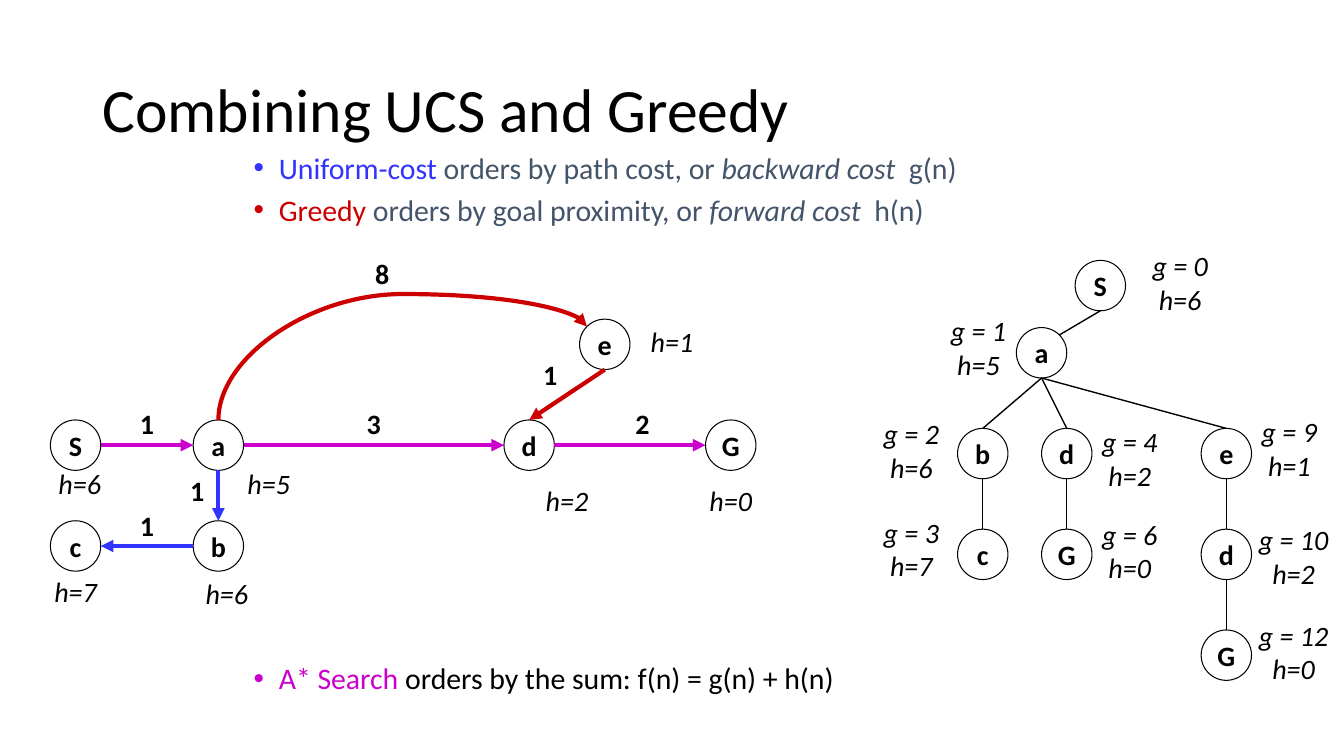
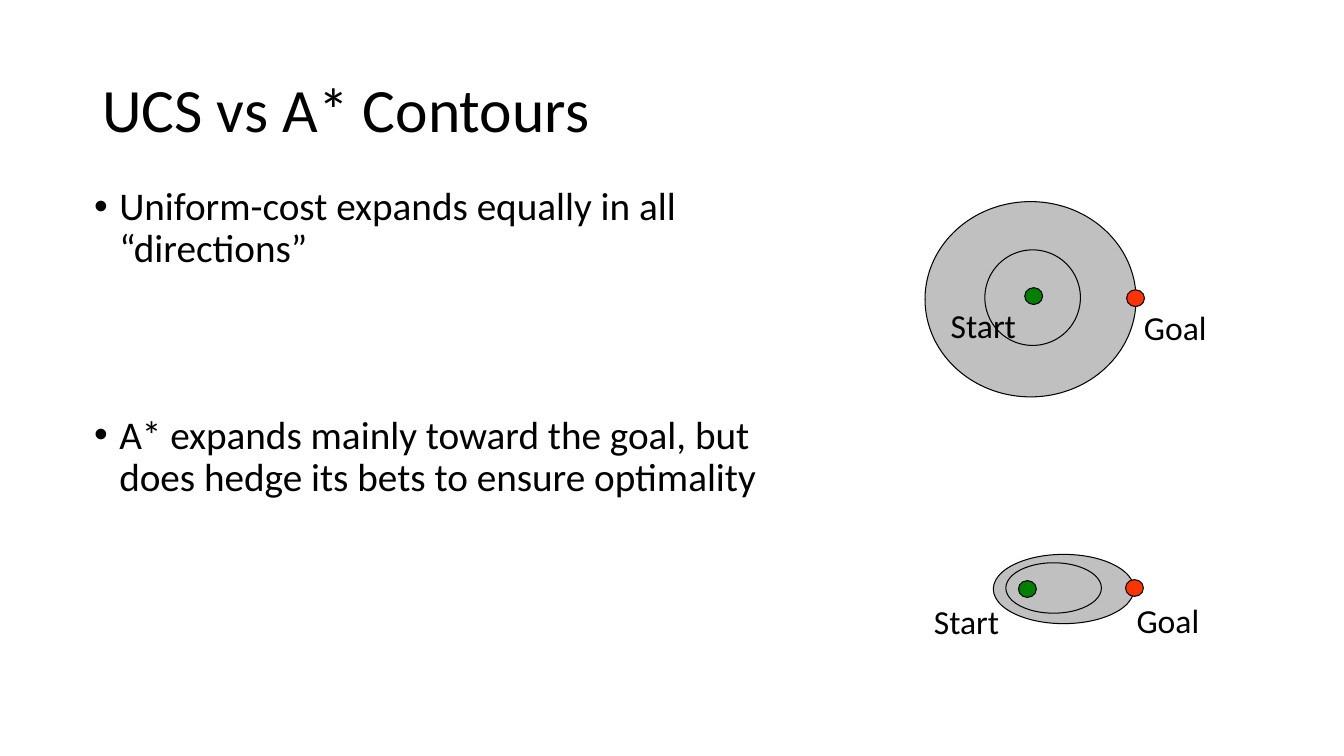
from lxml.etree import SubElement
from pptx import Presentation
from pptx.dml.color import RGBColor
from pptx.enum.shapes import MSO_CONNECTOR, MSO_SHAPE
from pptx.enum.text import MSO_ANCHOR, MSO_AUTO_SIZE, PP_ALIGN
from pptx.oxml.ns import qn
from pptx.util import Pt

PX = 9525
FONT = "Calibri"
COLORS = {
    "black": "000000",
    "white": "FFFFFF",
    "blue": "3333FF",
    "red": "CC0000",
    "purple": "CC00CC",
    "slate": "44546A",
    "gray": "C0C0C0",
    "start": "008000",
    "goal": "FF3300",
}
NODE = 48
SITES = {
    "top": (24, 0),
    "left": (0, 24),
    "bottom": (24, 48),
    "right": (48, 24),
    "top left": (7, 7),
    "top right": (41, 7),
}

GRAPH_NODES = {
    "S": (48, 400), "a": (184, 400), "d": (480, 400), "G": (672, 400),
    "c": (48, 496), "b": (184, 496), "e": (552, 304),
}
GRAPH_EDGES = [
    ("S", "right", "a", "left", "purple"),
    ("a", "right", "d", "left", "purple"),
    ("d", "right", "G", "left", "purple"),
    ("a", "bottom", "b", "top", "blue"),
    ("b", "left", "c", "right", "blue"),
    ("e", "bottom", "d", "top", "red"),
]
HEURISTICS = [
    ("h=6", 32, 440, 88), ("h=5", 208, 440, 96), ("h=2", 504, 456, 72),
    ("h=0", 648, 456, 96), ("h=7", 32, 542, 80), ("h=6", 176, 544, 80),
    ("h=1", 600, 304, 80),
]
COSTS = [
    ("1", 112, 382), ("3", 328, 382), ("2", 584, 382), ("8", 336, 240),
    ("1", 112, 480), ("1", 160, 446), ("1", 496, 336),
]

TREE_NODES = {
    "S": (1024, 248), "Sa": (968, 312), "Sab": (912, 408), "Sabc": (912, 504),
    "Sad": (992, 408), "SadG": (992, 504), "Sae": (1144, 408),
    "Saed": (1144, 504), "SaedG": (1144, 600),
}
TREE_LABELS = [
    ("g = 0 h=6", 1080, 232, 88), ("g = 1 h=5", 888, 294, 88),
    ("g = 2 h=6", 824, 392, 88), ("g = 3 h=7", 824, 486, 88),
    ("g = 4 h=2", 1032, 400, 88), ("g = 6 h=0", 1032, 488, 88),
    ("g = 9 h=1", 1184, 390, 88), ("g = 10 h=2", 1184, 493, 96),
    ("g = 12 h=0", 1184, 584, 96),
]


def px(*values):
    return [round(v * PX) for v in values]


def rgb(name):
    return RGBColor.from_string(COLORS[name])


def add_run(p, text, size, color="black", bold=False, italic=False):
    r = p.add_run()
    r.text = text
    r.font.name = FONT
    r.font.size = Pt(size)
    r.font.color.rgb = rgb(color)
    r.font.bold = bold
    r.font.italic = italic


def place(sp, x, y, w, h):
    sp.left, sp.top, sp.width, sp.height = px(x, y, w, h)


def add_slide(prs, title):
    s = prs.slides.add_slide(prs.slide_layouts[1])
    sp = s.shapes.title
    place(sp, 88, 38, 1104, 139)
    tf = sp.text_frame
    tf.auto_size = MSO_AUTO_SIZE.NONE
    tf.vertical_anchor = MSO_ANCHOR.MIDDLE
    p = tf.paragraphs[0]
    p.alignment = PP_ALIGN.LEFT
    p.line_spacing = 0.9
    add_run(p, title, 44)
    return s


def add_bullet(p, color):
    pPr = p._p.get_or_add_pPr()
    pPr.set("marL", str(24 * PX))
    pPr.set("indent", str(-24 * PX))
    clr = SubElement(pPr, qn("a:buClr"))
    SubElement(clr, qn("a:srgbClr")).set("val", COLORS[color])
    SubElement(pPr, qn("a:buFont")).set("typeface", "Arial")
    SubElement(pPr, qn("a:buChar")).set("char", "•")


def fill_body(s, box, size, spacing, items):
    sp = s.placeholders[1]
    place(sp, *box)
    tf = sp.text_frame
    tf.auto_size = MSO_AUTO_SIZE.NONE
    for i, (before, runs) in enumerate(items):
        p = tf.add_paragraph() if i else tf.paragraphs[0]
        add_bullet(p, runs[0][1])
        p.line_spacing = spacing
        p.space_before = Pt(before)
        for text, color, italic in runs:
            add_run(p, text, size, color, italic=italic)


def add_ellipse(s, x, y, w, h, fill=None):
    sp = s.shapes.add_shape(MSO_SHAPE.OVAL, *px(x, y, w, h))
    sp.shadow.inherit = False
    if fill:
        sp.fill.solid()
        sp.fill.fore_color.rgb = rgb(fill)
    else:
        sp.fill.background()
    sp.line.color.rgb = rgb("black")
    sp.line.width = Pt(0.75)
    return sp


def add_node(s, name, x, y):
    tf = add_ellipse(s, x, y, NODE, NODE, "white").text_frame
    tf.word_wrap = False
    tf.vertical_anchor = MSO_ANCHOR.MIDDLE
    p = tf.paragraphs[0]
    p.alignment = PP_ALIGN.CENTER
    add_run(p, name, 20, bold=True)


def add_label(s, text, x, y, w, h, size=20, align=PP_ALIGN.CENTER, **style):
    tf = s.shapes.add_textbox(*px(x, y, w, h)).text_frame
    tf.word_wrap = True
    p = tf.paragraphs[0]
    p.alignment = align
    add_run(p, text, size, **style)


def site(nodes, name, side):
    x, y = nodes[name]
    dx, dy = SITES[side]
    return x + dx, y + dy


def add_line(s, start, end, color, width, arrow=False, kind=MSO_CONNECTOR.STRAIGHT):
    c = s.shapes.add_connector(kind, *px(*start, *end))
    c.line.color.rgb = rgb(color)
    c.line.width = Pt(width)
    if arrow:
        SubElement(c.line._get_or_add_ln(), qn("a:tailEnd")).set("type", "triangle")
    SubElement(c._element.spPr, qn("a:effectLst"))
    return c


def add_arc(s, start, end, color, bend):
    cx, cy = (start[0] + end[0]) / 2, (start[1] + end[1]) / 2
    half_w, half_h = (start[1] - end[1]) / 2, (end[0] - start[0]) / 2
    c = add_line(s, (cx - half_w, cy - half_h), (cx + half_w, cy + half_h),
                 color, 3, True, MSO_CONNECTOR.CURVE)
    spPr = c._element.spPr
    spPr.find(qn("a:xfrm")).set("rot", str(270 * 60000))
    gd = SubElement(spPr.find(qn("a:prstGeom")).find(qn("a:avLst")), qn("a:gd"))
    gd.set("name", "adj1")
    gd.set("fmla", f"val {bend}")


def draw_graph(s):
    for name, (x, y) in GRAPH_NODES.items():
        add_node(s, name, x, y)
    for text, x, y, w in HEURISTICS:
        add_label(s, text, x, y, w, 41, italic=True)
    for text, x, y in COSTS:
        add_label(s, text, x, y, 56, 41, bold=True)
    for a, a_side, b, b_side, color in GRAPH_EDGES:
        add_line(s, site(GRAPH_NODES, a, a_side), site(GRAPH_NODES, b, b_side),
                 color, 3, True)
    add_arc(s, site(GRAPH_NODES, "a", "top"), site(GRAPH_NODES, "e", "top left"),
            "red", 134800)


def draw_tree(s):
    for route, (x, y) in TREE_NODES.items():
        add_node(s, route[-1], x, y)
        parent = route[:-1]
        if parent:
            side = "top right" if parent == "S" else "top"
            add_line(s, site(TREE_NODES, parent, "bottom"),
                     site(TREE_NODES, route, side), "black", 1)
    for text, x, y, w in TREE_LABELS:
        add_label(s, text, x, y, w, 74, italic=True)


def draw_contours(s, outer, inner, start, goal, start_label, goal_label):
    add_ellipse(s, *outer, "gray")
    for name, dot, label in (("Start", start, start_label), ("Goal", goal, goal_label)):
        add_ellipse(s, *dot, 17, 16, name.lower())
        add_label(s, name, *label, 96, 48, 24, PP_ALIGN.LEFT)
    add_ellipse(s, *inner)


def main():
    prs = Presentation()
    prs.slide_width, prs.slide_height = px(1280, 720)

    s = add_slide(prs, "Combining UCS and Greedy")
    fill_body(s, (232, 144, 864, 528), 21.3, 0.8, [
        (0, [("Uniform-cost ", "blue", False),
             ("orders by path cost, or ", "slate", False),
             ("backward cost  ", "slate", True), ("g(n)", "slate", False)]),
        (10, [("Greedy ", "red", False),
              ("orders by goal proximity, or ", "slate", False),
              ("forward cost  ", "slate", True), ("h(n)", "slate", False)]),
        (314, [("A* Search", "purple", False),
               (" orders by the sum: f(n) = g(n) + h(n)", "black", False)]),
    ])
    draw_graph(s)
    draw_tree(s)

    s = add_slide(prs, "UCS vs A* Contours")
    fill_body(s, (80, 173, 704, 475), 28, 0.9, [
        (0, [("Uniform-cost expands equally in all “directions”", "black", False)]),
        (103, [("A* expands mainly toward the goal, but does hedge its bets "
                "to ensure optimality", "black", False)]),
    ])
    draw_contours(s, (881, 192, 201, 186), (938, 238, 91, 91),
                  (976, 274), (1073, 276), (896, 286), (1080, 288))
    draw_contours(s, (946, 528, 134, 66), (958, 536, 91, 48),
                  (970, 553), (1072, 552), (880, 568), (1073, 567))

    prs.save("out.pptx")


if __name__ == "__main__":
    main()
